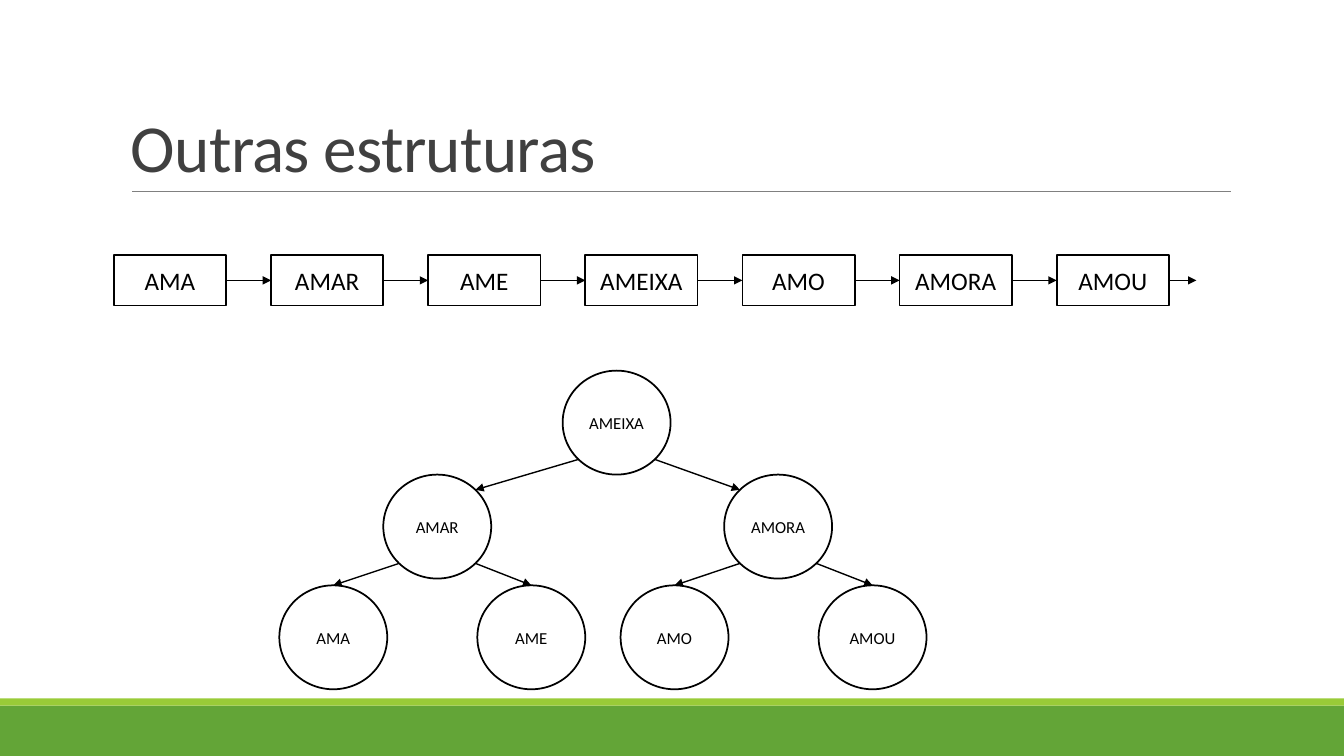
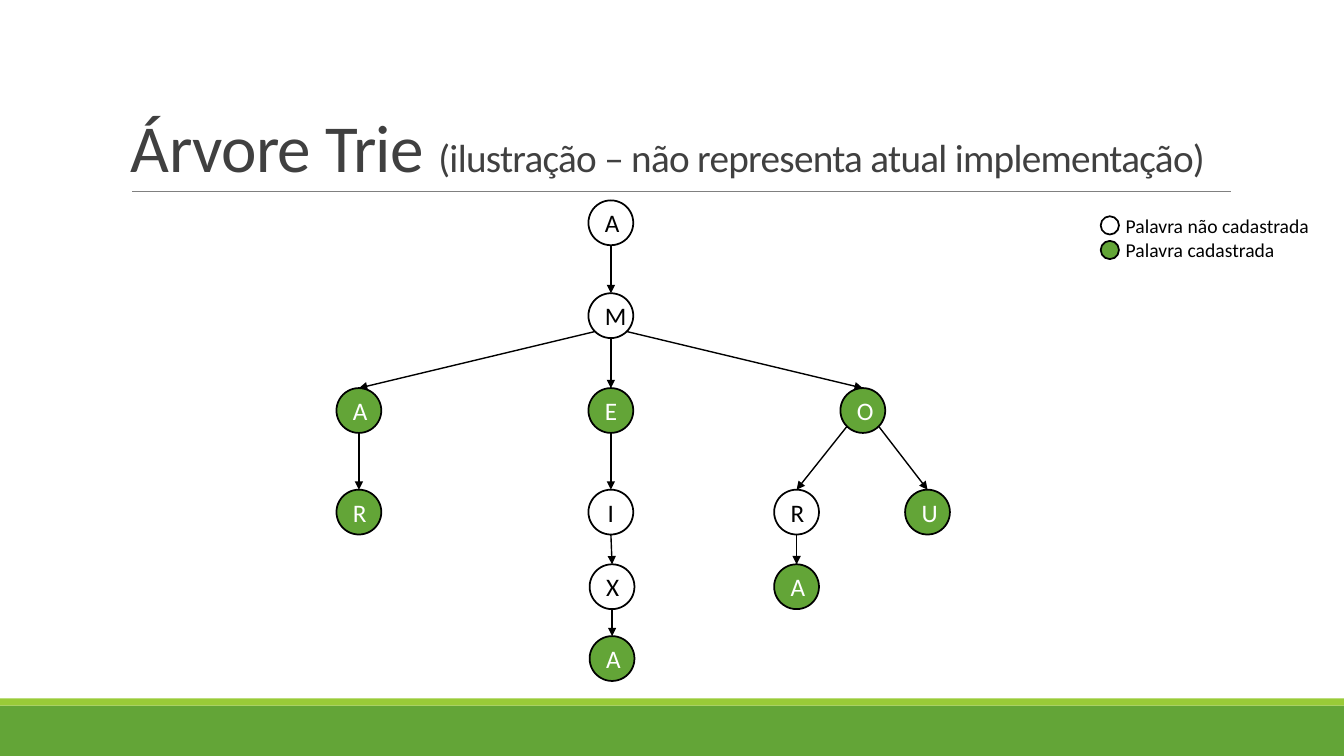
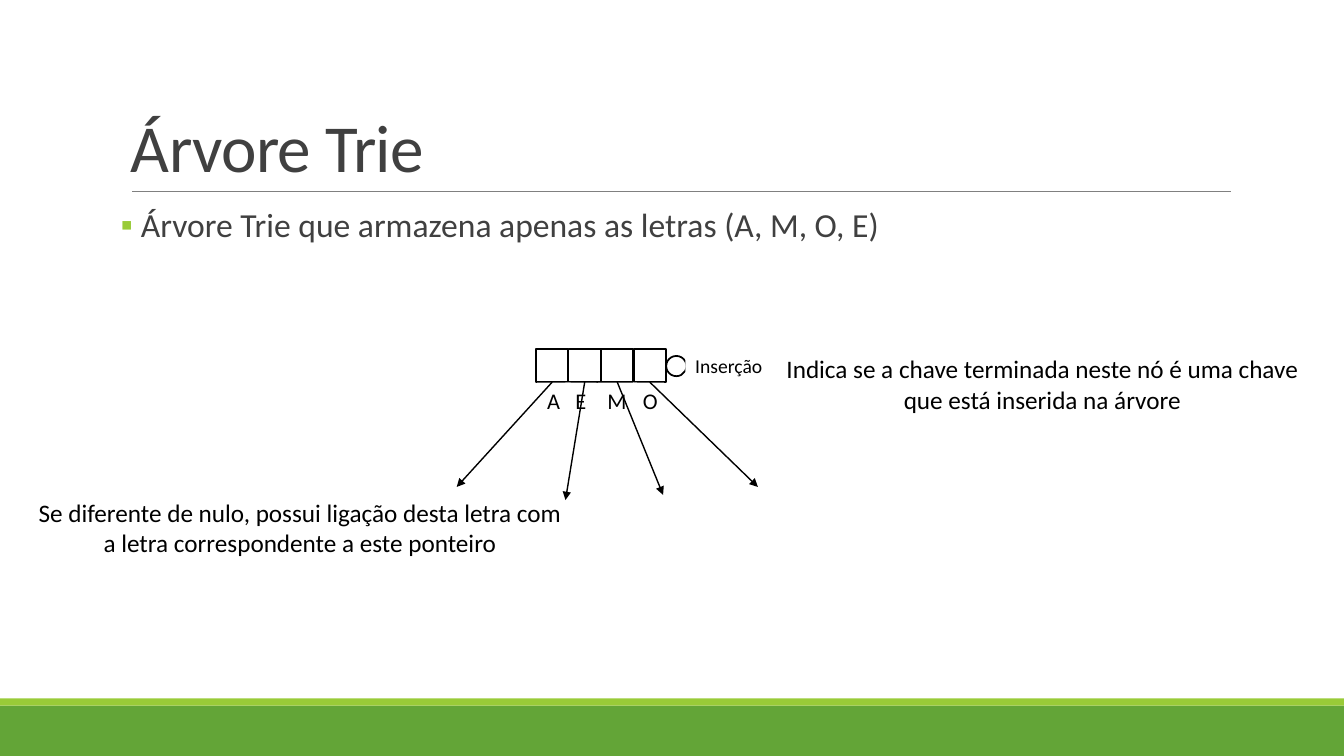
from dataclasses import dataclass
from math import sqrt
from typing import Optional

from lxml.etree import SubElement
from pptx import Presentation
from pptx.dml.color import RGBColor
from pptx.enum.shapes import MSO_CONNECTOR, MSO_SHAPE
from pptx.enum.text import MSO_ANCHOR, PP_ALIGN
from pptx.oxml.ns import qn
from pptx.util import Cm, Pt

FONT = "Calibri"
GREEN = RGBColor(0x63, 0xA5, 0x37)
LIME = RGBColor(0x99, 0xCB, 0x38)
GRAY = RGBColor(0x80, 0x80, 0x80)
DARK = RGBColor(0x40, 0x40, 0x40)
BLACK = RGBColor(0, 0, 0)
WHITE = RGBColor(0xFF, 0xFF, 0xFF)

SLIDE_WIDTH, SLIDE_HEIGHT = 33.87, 19.05


@dataclass(frozen=True)
class Box:
    """A rectangle in centimetres."""
    left: float
    top: float
    width: float
    height: float

    @property
    def center_x(self) -> float:
        return self.left + self.width / 2

    @property
    def center_y(self) -> float:
        return self.top + self.height / 2

    def rim(self, side: int, end: int) -> tuple[float, float]:
        """Point on the ellipse: side -1, 0 or 1 from the left, end -1 top or 1 bottom."""
        reach = 1 / sqrt(2) if side else 1
        return (self.center_x + side * reach * self.width / 2,
                self.center_y + end * reach * self.height / 2)

    def lengths(self) -> tuple[Cm, Cm, Cm, Cm]:
        return Cm(self.left), Cm(self.top), Cm(self.width), Cm(self.height)


@dataclass(frozen=True)
class Node:
    """A tree node; parent is the position of its parent in the list."""
    label: str
    left: float
    top: float
    parent: Optional[int] = None
    registered: bool = False
    corner_entry: bool = False


@dataclass(frozen=True)
class Pointer:
    """A letter below its cell, and the end of the arrow from that cell."""
    letter: str
    left: float
    width: float
    target: tuple[float, float]


WORDS = ["AMA", "AMAR", "AME", "AMEIXA", "AMO", "AMORA", "AMOU"]

WORD_TREE = [
    Node("AMEIXA", 14.18, 9.34),
    Node("AMAR", 9.66, 11.96, 0, corner_entry=True),
    Node("AMA", 7.04, 14.75, 1),
    Node("AME", 12.03, 14.75, 1),
    Node("AMORA", 18.25, 11.96, 0, corner_entry=True),
    Node("AMO", 15.64, 14.75, 4),
    Node("AMOU", 20.63, 14.75, 4),
]

TRIE = [
    Node("A", 14.83, 5.05),
    Node("M", 14.83, 7.39, 0),
    Node("A", 8.48, 9.78, 1, registered=True),
    Node("E", 14.83, 9.78, 1, registered=True),
    Node("O", 21.18, 9.78, 1, registered=True),
    Node("R", 8.48, 12.34, 2, registered=True),
    Node("I", 14.83, 12.34, 3),
    Node("X", 14.86, 14.22, 6),
    Node("A", 14.86, 16.03, 7, registered=True),
    Node("R", 19.51, 12.34, 4),
    Node("U", 22.81, 12.34, 4, registered=True),
    Node("A", 19.51, 14.22, 9, registered=True),
]

POINTERS = [
    Pointer("A", 13.54, 0.84, (11.51, 12.27)),
    Pointer("E", 14.25, 0.79, (14.25, 12.6)),
    Pointer("M", 15.06, 0.99, (16.71, 12.47)),
    Pointer("O", 15.95, 0.79, (19.1, 12.27)),
]


# Building blocks
def write(paragraph, text: str, *, size: float = 18, color: RGBColor = BLACK,
          align: PP_ALIGN = PP_ALIGN.LEFT, tracking: int = 0) -> None:
    """Append one formatted run; tracking is in hundredths of a point."""
    paragraph.alignment = align
    run = paragraph.add_run()
    run.text = text
    run.font.name = FONT
    run.font.size = Pt(size)
    run.font.color.rgb = color
    if tracking:
        run.font._element.set("spc", str(tracking))


def add_figure(slide, preset: MSO_SHAPE, box: Box, *, fill: RGBColor = WHITE,
               outlined: bool = True, label: str = "", size: float = 18):
    figure = slide.shapes.add_shape(preset, *box.lengths())
    figure.shadow.inherit = False
    figure.fill.solid()
    figure.fill.fore_color.rgb = fill
    if outlined:
        figure.line.color.rgb = BLACK
        figure.line.width = Pt(1.25)
    else:
        figure.line.fill.background()
    if label:
        write(figure.text_frame.paragraphs[0], label, size=size,
              color=WHITE if fill == GREEN else BLACK, align=PP_ALIGN.CENTER)
    return figure


def add_caption(slide, box: Box, *lines: str, size: float = 18,
                align: PP_ALIGN = PP_ALIGN.LEFT, fill: Optional[RGBColor] = None) -> None:
    caption = slide.shapes.add_textbox(*box.lengths())
    if fill is not None:
        caption.fill.solid()
        caption.fill.fore_color.rgb = fill
    frame = caption.text_frame
    frame.word_wrap = False
    for index, line in enumerate(lines):
        paragraph = frame.add_paragraph() if index else frame.paragraphs[0]
        write(paragraph, line, size=size, align=align)


def add_line(slide, start: tuple[float, float], end: tuple[float, float], *,
             color: RGBColor = BLACK, weight: float = 1, arrow: bool = True):
    line = slide.shapes.add_connector(
        MSO_CONNECTOR.STRAIGHT, *(Cm(length) for length in (*start, *end)))
    line.line.color.rgb = color
    line.line.width = Pt(weight)
    properties = line._element.spPr
    if arrow:
        SubElement(properties.find(qn("a:ln")), qn("a:tailEnd"), type="triangle")
    SubElement(properties, qn("a:effectLst"))
    return line


def add_tree(slide, nodes: list[Node], width: float, height: float, size: float) -> None:
    boxes = [Box(node.left, node.top, width, height) for node in nodes]
    for node, box in zip(nodes, boxes):
        add_figure(slide, MSO_SHAPE.OVAL, box, label=node.label, size=size,
                   fill=GREEN if node.registered else WHITE)
    for node, box in zip(nodes, boxes):
        if node.parent is None:
            continue
        parent = boxes[node.parent]
        offset = box.left - parent.left
        side = 0 if abs(offset) < 0.1 else (1 if offset > 0 else -1)
        add_line(slide, parent.rim(side, 1),
                 box.rim(-side if node.corner_entry else 0, -1))


def new_slide(deck, title: str, remark: str = ""):
    """Add a slide with the shared bands, rule and title."""
    slide = deck.slides.add_slide(deck.slide_layouts[6])
    for top, height, color in ((17.78, 1.27, GREEN), (17.6, 0.18, LIME)):
        add_figure(slide, MSO_SHAPE.RECTANGLE, Box(0, top, SLIDE_WIDTH, height),
                   fill=color, outlined=False)
    add_line(slide, (3.33, 4.83), (31.01, 4.83), color=GRAY, weight=0.5, arrow=False)

    frame = slide.shapes.add_textbox(*Box(3.05, 0.79, 27.94, 4.04).lengths()).text_frame
    frame.word_wrap = True
    frame.vertical_anchor = MSO_ANCHOR.BOTTOM
    heading = frame.paragraphs[0]
    heading.line_spacing = 0.85
    write(heading, title, size=48, color=DARK, tracking=-50)
    if remark:
        write(heading, remark, size=28, color=DARK, tracking=-50)
    return slide


# Slides
def build_structures(deck) -> None:
    slide = new_slide(deck, "Outras estruturas")

    # Linked list
    boxes = [Box(2.87 + 3.96 * index, 6.43, 2.83, 1.27) for index in range(len(WORDS))]
    cells = [add_figure(slide, MSO_SHAPE.RECTANGLE, box, label=word)
             for box, word in zip(boxes, WORDS)]
    for index, box in enumerate(boxes):
        exit_x = box.left + box.width
        is_last = index == len(boxes) - 1
        target_x = 30.15 if is_last else boxes[index + 1].left
        link = add_line(slide, (exit_x, box.center_y), (target_x, box.center_y))
        link.begin_connect(cells[index], 3)
        if not is_last:
            link.end_connect(cells[index + 1], 1)

    # Binary tree
    add_tree(slide, WORD_TREE, 2.72, 2.62, 12)


def build_trie(deck) -> None:
    slide = new_slide(deck, "Árvore Trie ",
                      "(ilustração – não representa atual implementação)")
    add_tree(slide, TRIE, 1.13, 1.13, 18)

    # Legend
    legend = (("Palavra não cadastrada", WHITE, 5.18), ("Palavra cadastrada", GREEN, 4.32))
    for index, (meaning, color, width) in enumerate(legend):
        drop = 0.62 * index
        add_figure(slide, MSO_SHAPE.OVAL, Box(27.74, 5.45 + drop, 0.46, 0.46), fill=color)
        add_caption(slide, Box(28.12, 5.26 + drop, width, 0.86), meaning, size=14)


def build_trie_node(deck) -> None:
    slide = new_slide(deck, "Árvore Trie")

    # Bulleted statement
    frame = slide.shapes.add_textbox(*Box(3.05, 5.13, 27.94, 11.18).lengths()).text_frame
    frame.word_wrap = True
    frame.margin_left = frame.margin_right = Cm(0)
    statement = frame.paragraphs[0]
    statement.line_spacing = 0.9
    statement.space_before, statement.space_after = Pt(12), Pt(2)
    write(statement, "Árvore Trie que armazena apenas as letras (A, M, O, E)",
          size=24, color=DARK)
    properties = statement._p.get_or_add_pPr()
    properties.set("marL", str(Cm(0.5)))
    properties.set("indent", str(Cm(-0.5)))
    bullet_color = SubElement(properties, qn("a:buClr"))
    SubElement(bullet_color, qn("a:srgbClr"), val=str(LIME))
    SubElement(properties, qn("a:buFont"), typeface=FONT)
    SubElement(properties, qn("a:buChar"), char="▪")

    # Node cells and insertion mark
    cells = [Box(13.51 + 0.82 * index, 8.79, 0.81, 0.84) for index in range(len(POINTERS))]
    for cell in cells:
        add_figure(slide, MSO_SHAPE.RECTANGLE, cell)
    add_figure(slide, MSO_SHAPE.OVAL, Box(16.79, 8.97, 0.51, 0.51))

    # Letters and pointers
    for pointer in POINTERS:
        add_caption(slide, Box(pointer.left, 9.64, pointer.width, 0.94),
                    pointer.letter, size=16, fill=WHITE)
    add_caption(slide, Box(17.27, 8.79, 2.21, 0.86), "Inserção", size=14, fill=WHITE)
    for pointer, cell in zip(POINTERS, cells):
        add_line(slide, (cell.center_x, cell.top + cell.height), pointer.target)

    # Explanations
    add_caption(slide, Box(0.64, 12.4, 13.84, 1.8),
                "Se diferente de nulo, possui ligação desta letra com",
                "a letra correspondente a este ponteiro", align=PP_ALIGN.CENTER)
    add_caption(slide, Box(19.41, 8.79, 13.72, 2.57),
                "Indica se a chave terminada neste nó é uma chave",
                "que está inserida na árvore", align=PP_ALIGN.CENTER)


def main() -> None:
    deck = Presentation()
    deck.slide_width, deck.slide_height = Cm(SLIDE_WIDTH), Cm(SLIDE_HEIGHT)
    build_structures(deck)
    build_trie(deck)
    build_trie_node(deck)
    deck.save("out.pptx")


if __name__ == "__main__":
    main()
